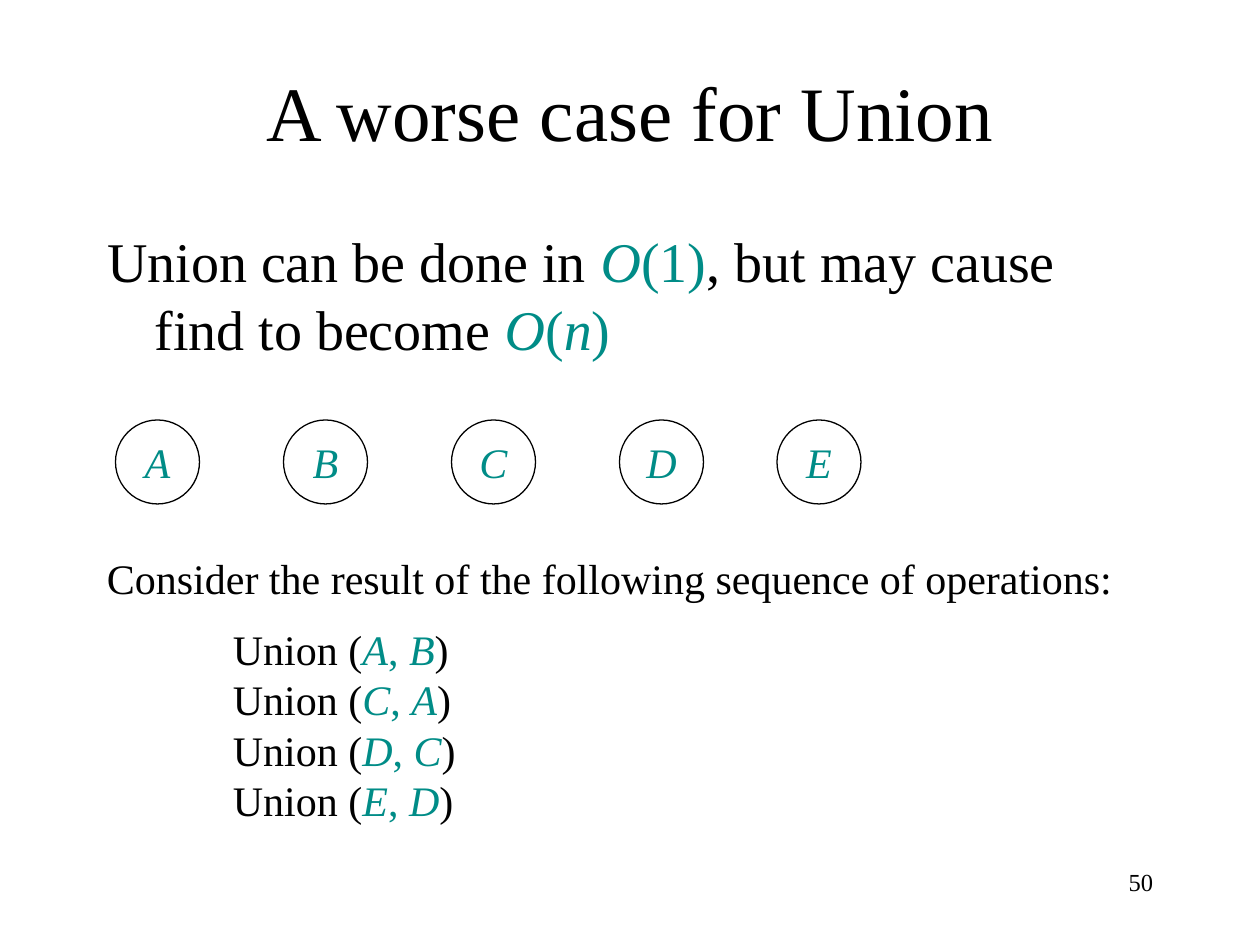
from pptx import Presentation
from pptx import util as u
from pptx.dml.color import RGBColor
from pptx.enum import shapes, text

Pt = u.Pt
COLORS = {"ink": "000000", "math": "008C87", "paper": "FFFFFF"}
FACE = "Times New Roman"


def color(name):
    return RGBColor.from_string(COLORS[name])


def style(paragraph, size, ink="ink", align=text.PP_ALIGN.LEFT):
    paragraph.alignment = align
    paragraph.font.size = Pt(size)
    paragraph.font.name = FACE
    paragraph.font.color.rgb = color(ink)


def place(part, box):
    part.left, part.top, part.width, part.height = (Pt(length) for length in box)


def add_words(paragraph, pieces):
    for words, ink, italic in pieces:
        run = paragraph.add_run()
        run.text = words
        run.font.color.rgb = color(ink)
        run.font.italic = italic


def add_text_box(slide, box):
    frame = slide.shapes.add_textbox(*(Pt(length) for length in box)).text_frame
    frame.word_wrap = True
    return frame


def fill_title(slide, box):
    title = slide.shapes.title
    place(title, box)
    title.text_frame.text = "A worse case for Union"
    title.text_frame.vertical_anchor = text.MSO_ANCHOR.MIDDLE
    style(title.text_frame.paragraphs[0], 44, align=text.PP_ALIGN.CENTER)


def fill_claim(slide, box):
    body = slide.placeholders[1]
    place(body, box)
    frame = body.text_frame
    frame.auto_size = text.MSO_AUTO_SIZE.NONE
    claim = frame.paragraphs[0]
    properties = claim._p.get_or_add_pPr()
    properties.set("marL", str(Pt(27)))
    properties.set("indent", str(Pt(-27)))
    properties.insert(0, properties.makeelement(
        "{http://schemas.openxmlformats.org/drawingml/2006/main}buNone", {}))
    claim.space_before = Pt(0)
    style(claim, 32)
    add_words(claim, [
        ("Union can be done in ", "ink", False),
        ("O", "math", True),
        ("(1)", "math", False),
        (", but may cause find to become ", "ink", False),
        ("O", "math", True),
        ("(", "math", False),
        ("n", "math", True),
        (")", "math", False),
    ])


def add_sets(slide, box):
    left, top, diameter, height = box
    for label, offset in zip("ABCDE", (0, 96, 192, 288, 378)):
        node = slide.shapes.add_shape(
            shapes.MSO_SHAPE.OVAL, Pt(left + offset), Pt(top), Pt(diameter), Pt(height))
        node.shadow.inherit = False
        node.fill.background()
        node.line.color.rgb = color("ink")
        node.line.width = Pt(0.75)
        frame = node.text_frame
        frame.word_wrap = False
        frame.vertical_anchor = text.MSO_ANCHOR.MIDDLE
        frame.text = label
        style(frame.paragraphs[0], 24, "math", text.PP_ALIGN.CENTER)
        frame.paragraphs[0].font.italic = True


def add_operations(slide, box):
    frame = add_text_box(slide, box)
    lead = frame.paragraphs[0]
    lead.text = "Consider the result of the following sequence of operations:"
    style(lead, 24)
    for number, (first, second) in enumerate(("AB", "CA", "DC", "ED")):
        operation = frame.add_paragraph()
        operation._p.get_or_add_pPr().set("marL", str(Pt(72)))
        operation.space_before = Pt(0 if number else 12)
        style(operation, 24)
        add_words(operation, [
            ("Union (", "ink", False),
            (first, "math", True),
            (", ", "math", False),
            (second, "math", True),
            (")", "ink", False),
        ])


def add_page_number(slide, box):
    number = add_text_box(slide, box).paragraphs[0]
    number.text = "50"
    style(number, 14, align=text.PP_ALIGN.RIGHT)


def main():
    deck = Presentation()
    deck.slide_width, deck.slide_height = Pt(720), Pt(540)
    slide = deck.slides.add_slide(deck.slide_layouts[1])
    slide.background.fill.solid()
    slide.background.fill.fore_color.rgb = color("paper")
    fill_title(slide, (54, 18, 612, 90))
    fill_claim(slide, (54, 126, 612, 90))
    add_sets(slide, (66, 240, 48, 48))
    add_operations(slide, (54, 312, 624, 165.6))
    add_page_number(slide, (516, 492, 150, 36))
    deck.save("out.pptx")


if __name__ == "__main__":
    main()
